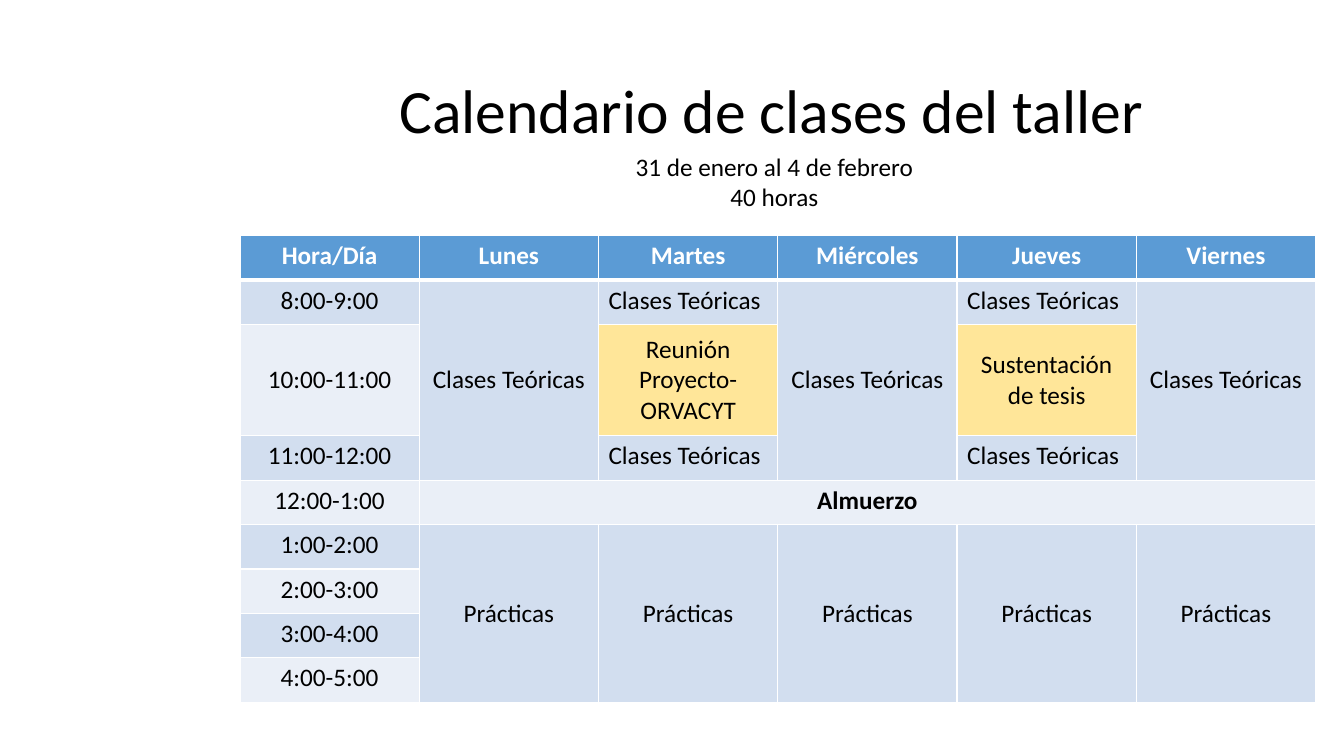
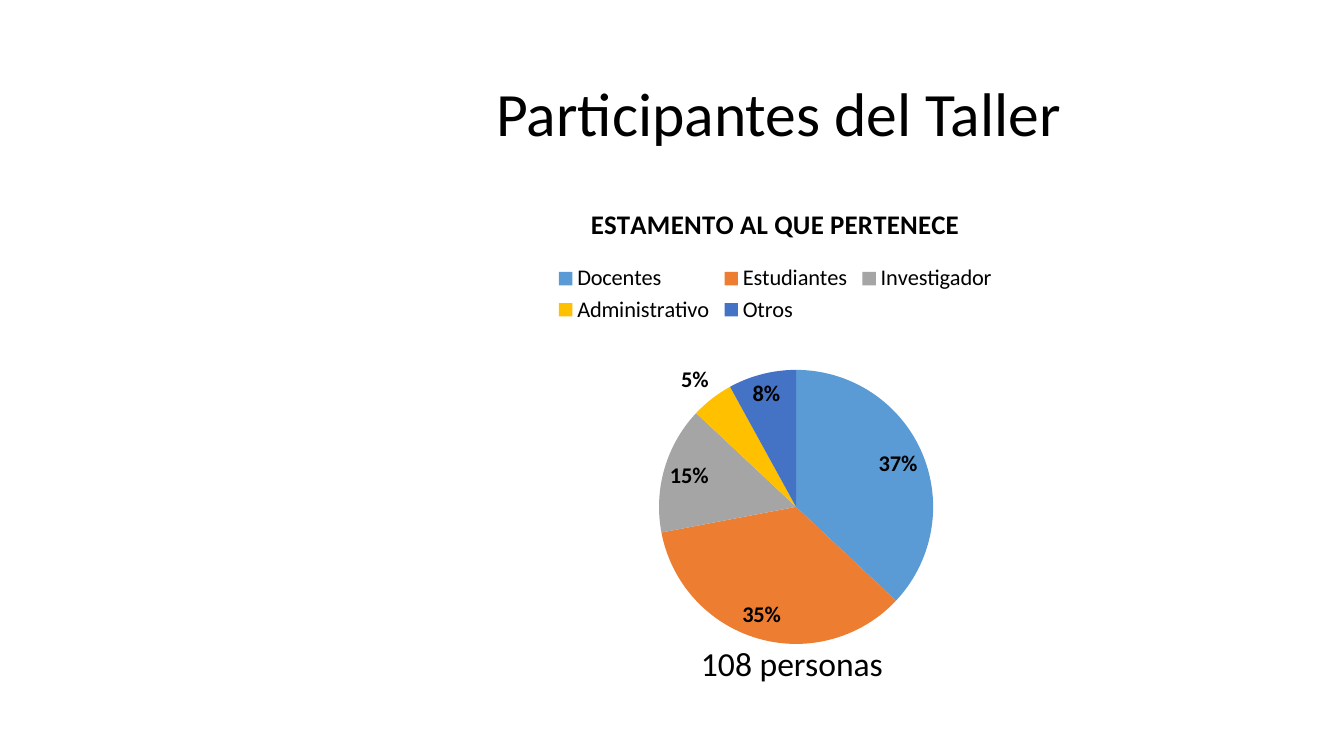
import pptx
import pptx.chart.data
import pptx.dml.color
import pptx.enum.chart
import pptx.enum.text
import pptx.oxml
import pptx.oxml.ns
import pptx.util

Inches, Pt = pptx.util.Inches, pptx.util.Pt
ALIGN = pptx.enum.text.PP_ALIGN
ANCHOR = pptx.enum.text.MSO_ANCHOR
POSITION = pptx.enum.chart.XL_LABEL_POSITION

FONT = "Calibri"
BLACK, WHITE = "000000", "FFFFFF"
HEADER, BAND_DARK, BAND_LIGHT, EVENT = "5B9BD5", "D2DEEF", "EAEFF7", "FFE699"
PIE_COLORS = ["5B9BD5", "ED7D31", "A5A5A5", "FFC000", "4472C4"]

DAYS = ["Lunes", "Martes", "Miércoles", "Jueves", "Viernes"]
HOURS = ["8:00-9:00", "10:00-11:00", "11:00-12:00", "12:00-1:00",
         "1:00-2:00", "2:00-3:00", "3:00-4:00", "4:00-5:00"]
EVENTS = {2: "Reunión Proyecto-ORVACYT", 4: "Sustentación de tesis"}
GROUPS = {"Docentes": 37, "Estudiantes": 35, "Investigador": 15,
          "Administrativo": 5, "Otros": 8}


def rgb(value):
    """Return the colour for a hex string."""
    return pptx.dml.color.RGBColor.from_string(value)


def apply(obj, values):
    """Set each attribute of the dict on the object."""
    for name, value in values.items():
        setattr(obj, name, value)


def style_font(font, size, color=BLACK, bold=False):
    """Give a font the deck's face with a size, colour and weight."""
    apply(font, {"name": FONT, "size": Pt(size), "bold": bold})
    font.color.rgb = rgb(color)


def fill_text(tf, lines, size, color=BLACK, bold=False, **formats):
    """Write one paragraph per line into a text frame."""
    for i, line in enumerate(lines):
        p = tf.paragraphs[0] if i == 0 else tf.add_paragraph()
        apply(p, {"alignment": ALIGN.CENTER, **formats})
        r = p.add_run()
        r.text = line
        style_font(r.font, size, color, bold)


def add_text(s, box, lines, size, anchor=ANCHOR.TOP, **formats):
    """Add a wrapped, centred text box."""
    tf = s.shapes.add_textbox(*map(Inches, box)).text_frame
    apply(tf, {"word_wrap": True, "vertical_anchor": anchor})
    fill_text(tf, lines, size, **formats)


def add_title(s, box, text):
    """Add the slide title in the style all slides share."""
    add_text(s, box, [text], 44, ANCHOR.MIDDLE, line_spacing=0.9)


def set_borders(cell, widths):
    """Draw white borders on a cell, given a width for each side."""
    tc_pr = cell._tc.get_or_add_tcPr()
    for i, side in enumerate("LRTB"):
        tc_pr.insert(i, pptx.oxml.parse_xml(
            f'<a:ln{side} {pptx.oxml.ns.nsdecls("a")} w="{Pt(widths[side])}">'
            f'<a:solidFill><a:srgbClr val="{WHITE}"/></a:solidFill></a:ln{side}>'))


def write_cell(table, row, col, text, fill=None, span=(1, 1),
               anchor=ANCHOR.TOP, **formats):
    """Write a cell, merging it over a span of rows and columns."""
    cell = table.cell(row, col)
    if span != (1, 1):
        cell.merge(table.cell(row + span[0] - 1, col + span[1] - 1))
    cell.vertical_anchor = anchor
    fill_text(cell.text_frame, [text], 18, **formats)
    if fill:
        cell.fill.solid()
        cell.fill.fore_color.rgb = rgb(fill)


def add_schedule(s, box):
    """Add the weekly timetable in the given box."""
    left, top, width, height = box
    rows, cols = len(HOURS) + 1, len(DAYS) + 1
    table = s.shapes.add_table(rows, cols, *map(Inches, box)).table
    apply(table, {"first_row": False, "horz_banding": False})
    for column in table.columns:
        column.width = Inches(width / cols)
    event_height = 1.1
    for i, row in enumerate(table.rows):
        row.height = Inches(event_height if i == 2 else
                            (height - event_height) / (rows - 1))
        for cell in row.cells:
            cell.fill.solid()
            cell.fill.fore_color.rgb = rgb(
                HEADER if i == 0 else BAND_DARK if i % 2 else BAND_LIGHT)
            set_borders(cell, {"L": 1, "R": 1, "T": 3 if i == 1 else 1,
                               "B": 3 if i == 0 else 1})

    for col, text in enumerate(["Hora/Día"] + DAYS):
        write_cell(table, 0, col, text, color=WHITE, bold=True)
    for row, text in enumerate(HOURS, 1):
        write_cell(table, row, 0, text,
                   anchor=ANCHOR.MIDDLE if row == 2 else ANCHOR.TOP)
    for col in range(1, cols):
        if col in EVENTS:
            for row in (1, 3):
                write_cell(table, row, col, "Clases Teóricas",
                           alignment=ALIGN.LEFT)
            write_cell(table, 2, col, EVENTS[col], EVENT, anchor=ANCHOR.MIDDLE)
        else:
            write_cell(table, 1, col, "Clases Teóricas", span=(3, 1),
                       anchor=ANCHOR.MIDDLE)
        write_cell(table, 5, col, "Prácticas", span=(4, 1),
                   anchor=ANCHOR.MIDDLE)
    write_cell(table, 4, 1, "Almuerzo", span=(1, len(DAYS)), bold=True)


def layout_xml(x, y, w, h, target=""):
    """Return a chart layout element placed by fractions of the chart."""
    sizes = "".join(f'<c:{k} val="{v}"/>' for k, v in zip("xywh", (x, y, w, h)))
    return pptx.oxml.parse_xml(
        f'<c:layout {pptx.oxml.ns.nsdecls("c")}><c:manualLayout>{target}'
        f'<c:xMode val="edge"/><c:yMode val="edge"/>{sizes}'
        f'</c:manualLayout></c:layout>')


def place_layout(parent, layout, before):
    """Replace an element's layout, putting it ahead of a named child."""
    for old in parent.findall(pptx.oxml.ns.qn("c:layout")):
        parent.remove(old)
    parent.find(pptx.oxml.ns.qn(before)).addprevious(layout)


def add_pie(s, box, title):
    """Add the pie chart of participant groups in the given box."""
    data = pptx.chart.data.CategoryChartData()
    data.categories = list(GROUPS)
    data.add_series(title, list(GROUPS.values()))
    chart = s.shapes.add_chart(pptx.enum.chart.XL_CHART_TYPE.PIE,
                               *map(Inches, box), data).chart
    style_font(chart.font, 16)
    chart.has_title = True
    fill_text(chart.chart_title.text_frame, [title], 19.2, bold=True)
    chart.has_legend = True
    apply(chart.legend, {"position": pptx.enum.chart.XL_LEGEND_POSITION.TOP,
                         "include_in_layout": False})
    style_font(chart.legend.font, 16)

    plot = chart.plots[0]
    plot.vary_by_categories = True
    series = plot.series[0]
    for i, color in enumerate(PIE_COLORS):
        fill = series.points[i].format.fill
        fill.solid()
        fill.fore_color.rgb = rgb(color)
    labels = series.data_labels
    apply(labels, {"show_percentage": True, "show_value": False,
                   "number_format": "0%", "number_format_is_linked": False,
                   "position": POSITION.BEST_FIT})
    style_font(labels.font, 16, bold=True)

    place_layout(chart._chartSpace.chart.plotArea,
                 layout_xml(0.36, 0.39, 0.33, 0.58,
                            '<c:layoutTarget val="inner"/>'), "c:pieChart")
    place_layout(chart.legend._element,
                 layout_xml(0.23, 0.16, 0.54, 0.14), "c:overlay")


def schedule_slide(s):
    """Build the timetable slide."""
    add_title(s, (2.89, 0.4, 9.53, 1.45), "Calendario de clases del taller")
    add_schedule(s, (2.38, 2.34, 10.67, 4.63))
    add_text(s, (4.89, 1.45, 5.58, 0.71),
             ["31 de enero al 4 de febrero", "40 horas"], 18)


def participants_slide(s):
    """Build the participants slide."""
    add_title(s, (3.1, 0.43, 9.25, 1.45), "Participantes del Taller")
    add_pie(s, (3.57, 1.84, 8.24, 4.69), "ESTAMENTO AL QUE PERTENECE")
    add_text(s, (4.52, 6.33, 6.67, 0.81), ["108 personas"], 24)


def main():
    """Build and save the deck."""
    prs = pptx.Presentation()
    apply(prs, {"slide_width": Inches(13.33), "slide_height": Inches(7.5)})
    for build in (schedule_slide, participants_slide):
        build(prs.slides.add_slide(prs.slide_layouts[6]))
    prs.save("out.pptx")


if __name__ == "__main__":
    main()
